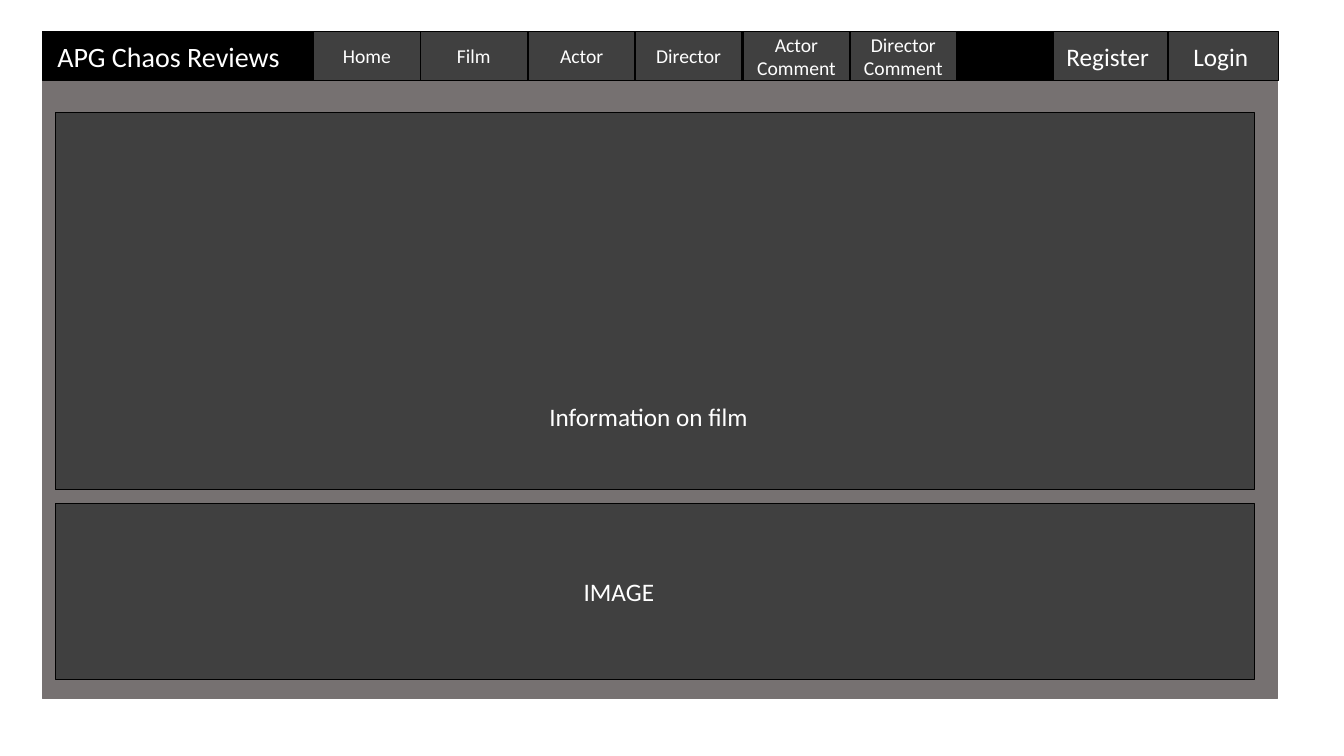
from pptx import Presentation
from pptx.dml.color import RGBColor
from pptx.enum.shapes import MSO_SHAPE
from pptx.enum.text import MSO_ANCHOR, MSO_AUTO_SIZE, PP_ALIGN
from pptx.util import Pt

PX = 9144  # 100 px to the inch
COLORS = {"page": "767171", "bar": "000000", "panel": "404040", "text": "FFFFFF"}
BAR_TOP, BAR_HEIGHT = 31, 49
NAV_LEFT, NAV_PITCH = 311, 106.4

deck = Presentation()
deck.slide_width, deck.slide_height = 1333 * PX, 750 * PX
page = deck.slides.add_slide(deck.slide_layouts[6])


def write(shape, text, size):
    frame = shape.text_frame
    frame.word_wrap = True
    para = frame.paragraphs[0]
    para.text = text
    para.font.name = "Calibri"
    para.font.size = Pt(size)
    para.font.color.rgb = RGBColor.from_string(COLORS["text"])
    return para


def add_box(left, top, width, height, fill, line="bar", weight=1):
    box = page.shapes.add_shape(
        MSO_SHAPE.RECTANGLE, left * PX, top * PX, width * PX, height * PX)
    box.shadow.inherit = False
    box.fill.solid()
    box.fill.fore_color.rgb = RGBColor.from_string(COLORS[fill])
    box.line.color.rgb = RGBColor.from_string(COLORS[line])
    box.line.width = Pt(weight)
    return box


# Page background and navigation bar
add_box(42, 31, 1225, 662, "page", "page")
add_box(42, BAR_TOP, 1225, BAR_HEIGHT, "bar")

# Navigation buttons
nav_labels = ["Home", "Film", "Actor", "Director", "Actor Comment", "Director Comment"]
buttons = [(label, NAV_LEFT + round(index * NAV_PITCH), 106, 14)
           for index, label in enumerate(nav_labels)]
buttons += [("Register ", 1045, 113, 18), ("Login ", 1159, 109, 18)]
for label, left, width, size in buttons:
    button = add_box(left, BAR_TOP, width, BAR_HEIGHT, "panel")
    button.text_frame.vertical_anchor = MSO_ANCHOR.MIDDLE
    write(button, label, size).alignment = PP_ALIGN.CENTER

# Content panels
for top, height in [(500, 174), (112, 374)]:
    add_box(55, top, 1189, height, "panel", weight=0.75)

# Site name and panel captions
captions = [
    ("APG Chaos Reviews", 47, 34, 260, 44, 20),
    ("IMAGE", 569, 567, 229, 40, 18),
    ("Information on film", 535, 393, 237, 40, 18),
]
for text, left, top, width, height, size in captions:
    caption = page.shapes.add_textbox(left * PX, top * PX, width * PX, height * PX)
    caption.text_frame.auto_size = MSO_AUTO_SIZE.SHAPE_TO_FIT_TEXT
    write(caption, text, size)

deck.save("out.pptx")
